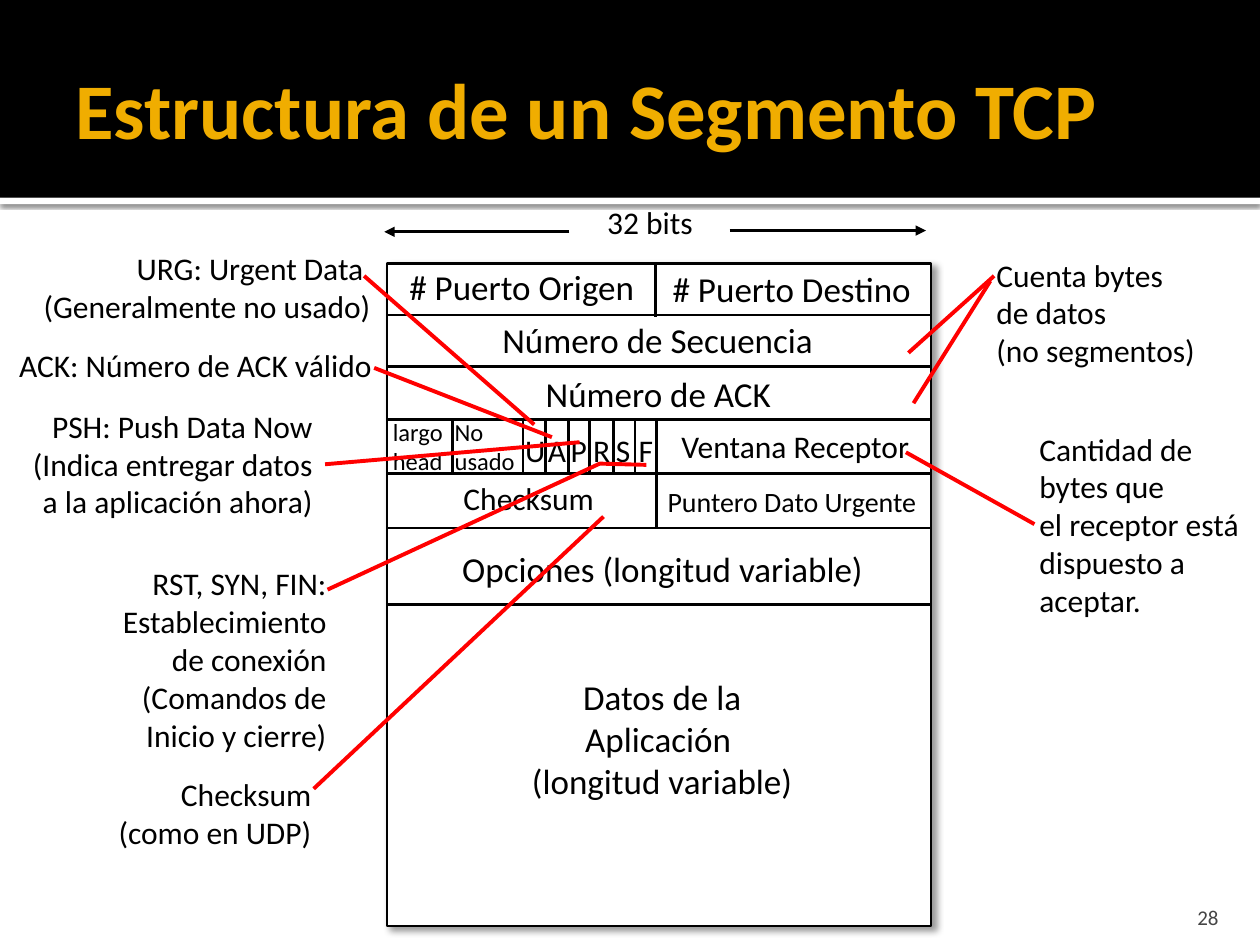
from dataclasses import dataclass
from lxml.etree import SubElement
from pptx import Presentation
from pptx.dml.color import RGBColor as Rgb
from pptx.enum.shapes import MSO_CONNECTOR as Link, MSO_SHAPE as Shape
from pptx.enum.text import MSO_ANCHOR as Anchor, MSO_AUTO_SIZE as Fit, PP_ALIGN as Align
from pptx.oxml.ns import qn
from pptx.util import Pt

PX = 9144  # one px in EMU, 100 px to the inch


@dataclass(frozen=True)
class Theme:
    font: str = "Calibri"
    black: str = "000000"
    white: str = "FFFFFF"
    gold: str = "F0AD00"
    grey: str = "454545"
    red: str = "FF0000"
    head: int = 45
    field: int = 20
    note: int = 18
    small: int = 16
    tiny: int = 14
    page: int = 12
    rule: float = 1.5
    lead: float = 2.25


T = Theme()
LEFT, MID, RIGHT = Align.LEFT, Align.CENTER, Align.RIGHT


def emu(*nums):
    return [round(n * PX) for n in nums]


def add_run(para, text, size, color, bold=False):
    run = para.add_run()
    run.text = text
    font = run.font
    font.name, font.size, font.bold = T.font, Pt(size), bold
    font.color.rgb = Rgb.from_string(color)


def add_text(slide, box, text, size, align=LEFT, wrap=False, color=T.black):
    """One paragraph for each line of the text."""
    shape = slide.shapes.add_textbox(*emu(*box))
    frame = shape.text_frame
    frame.word_wrap = wrap
    frame.auto_size = Fit.SHAPE_TO_FIT_TEXT
    for i, line in enumerate(text.split("\n")):
        para = frame.add_paragraph() if i else frame.paragraphs[0]
        para.alignment = align
        add_run(para, line, size, color)
    return shape


def add_rect(slide, box, fill, line=None):
    rect = slide.shapes.add_shape(Shape.RECTANGLE, *emu(*box))
    rect.shadow.inherit = False
    rect.fill.solid()
    rect.fill.fore_color.rgb = Rgb.from_string(fill)
    if line:
        rect.line.color.rgb = Rgb.from_string(line)
        rect.line.width = Pt(T.rule)
    else:
        rect.line.fill.background()
    return rect


def add_shade(shape, alpha, blur, dist, angle):
    glow = shape.element.spPr.find(qn("a:effectLst"))
    shade = SubElement(glow, qn("a:outerShdw"), blurRad=str(Pt(blur)), dist=str(Pt(dist)),
                       dir=str(angle * 60000), algn="tl", rotWithShape="0")
    color = SubElement(shade, qn("a:srgbClr"), val=T.black)
    SubElement(color, qn("a:alpha"), val=str(alpha * 1000))


def add_line(slide, ends, color=T.black, width=T.rule, arrow=False):
    line = slide.shapes.add_connector(Link.STRAIGHT, *emu(*ends))
    line.line.color.rgb = Rgb.from_string(color)
    line.line.width = Pt(width)
    if arrow:
        SubElement(line.line._get_or_add_ln(), qn("a:tailEnd"), type="triangle")
    SubElement(line.element.spPr, qn("a:effectLst"))
    return line


def draw_head(slide, box):
    x, y, w, h = box
    # White strip under the black band
    strip = add_rect(slide, (x, y + h, w, 5), T.white)
    add_shade(strip, 60, 2.5, 0.8, 90)
    add_rect(slide, box, T.black)
    # Title, brought in front of the band
    title = slide.shapes.title
    slide.shapes.element.append(title.element)
    title.left, title.top, title.width, title.height = emu(x + 50, y + 17, w - 100, h - 20)
    frame = title.text_frame
    frame.vertical_anchor = Anchor.MIDDLE
    frame.margin_left, frame.margin_top, frame.margin_right, frame.margin_bottom = emu(10, 5, 5, 5)
    para = frame.paragraphs[0]
    para.alignment = LEFT
    add_run(para, "Estructura de un Segmento TCP", T.head, T.gold, True)


def draw_page(slide, box):
    shape = add_text(slide, box, "28", T.page, RIGHT, True, T.grey)
    frame = shape.text_frame
    frame.auto_size = Fit.NONE
    frame.vertical_anchor = Anchor.BOTTOM
    frame.margin_bottom = 0


def draw_segment(slide, box):
    x, y, w, h = box
    add_shade(add_rect(slide, box, T.white, T.black), 40, 4, 3, 45)

    def rule(x1, y1, x2, y2, arrow=False):
        add_line(slide, (x + x1, y + y1, x + x2, y + y2), arrow=arrow)

    # Rows and splits
    for row in (41, 82, 124, 167, 210, 271):
        rule(0, row, w, row)
    rule(213, 0, 213, 43)
    rule(214, 124, 214, 209)
    for col in (52, 108, 126, 144, 161, 180, 197):
        rule(col, 124, col, 167)
    # Width of the segment
    rule(272, -26, 428, -26, True)
    rule(145, -25, -2, -25, True)

    # Field names
    fields = (
        (165, -53, 89, 50, "32 bits", T.note, LEFT, False),
        (8, -3, 208, 44, "# Puerto Origen", T.field, LEFT, False),
        (217, -2, 219, 44, "# Puerto Destino", T.field, LEFT, False),
        (44, 39, 342, 43, "Número de Secuencia", T.field, MID, True),
        (3, 82, 425, 43, "Número de ACK", T.field, MID, True),
        (-5, 117, 63, 57, "largo\nhead", T.tiny, LEFT, False),
        (44, 117, 68, 57, "No\nusado", T.tiny, LEFT, False),
        (224, 125, 207, 40, "Ventana Receptor", T.note, LEFT, False),
        (51, 166, 129, 40, "Checksum", T.note, LEFT, False),
        (213, 171, 226, 37, "Puntero Dato Urgente", T.small, LEFT, False),
        (50, 221, 346, 44, "Opciones (longitud variable)", T.field, LEFT, False),
        (103, 322, 231, 111, "Datos de la\nAplicación \n(longitud variable)",
         T.field, MID, False),
    )
    for dx, dy, wide, high, *rest in fields:
        add_text(slide, (x + dx, y + dy, wide, high), *rest)
    # Flag bits
    for i, (flag, wide) in enumerate(zip("UAPRSF", (36, 35, 33, 34, 32, 32))):
        add_text(slide, (x + 100 + 18 * i, y + 128, wide, 50), flag, T.note)


def draw_note(slide, box, text, leads, align=LEFT, wrap=False, join=None):
    """A note and its red leads, each given from the note's corner."""
    x, y = box[:2]
    note = add_text(slide, box, text, T.note, align, wrap)
    for lead in leads:
        pts = [(x + dx, y + dy) for dx, dy in lead]
        if len(pts) == 2:
            line = add_line(slide, pts[0] + pts[1], T.red, T.lead)
            if join is not None:
                line.begin_connect(note, join)
        else:
            path = slide.shapes.build_freeform(*pts[0], scale=PX)
            path.add_line_segments(pts[1:], close=False)
            bend = path.convert_to_shape()
            bend.shadow.inherit = False
            bend.fill.background()
            bend.line.color.rgb = Rgb.from_string(T.red)
            bend.line.width = Pt(T.lead)


def draw_notes(slide):
    # Left side
    draw_note(slide, (20, 193, 284, 71), "URG: Urgent Data \n(Generalmente no usado)",
              [[(269, 26), (404, 144)]], RIGHT)
    draw_note(slide, (-8, 270, 313, 40), "ACK: Número de ACK válido",
              [[(305, 22), (446, 77)]], RIGHT)
    draw_note(slide, (10, 318, 248, 101),
              "PSH: Push Data Now\n(Indica entregar datos\na la aplicación ahora)",
              [[(250, 49), (450, 33)]], RIGHT, join=3)
    draw_note(slide, (31, 443, 238, 162),
              "RST, SYN, FIN:\nEstablecimiento\nde conexión\n(Comandos de\nInicio y cierre)",
              [[(229, 25), (445, -75), (482, -74)]], RIGHT, True)
    draw_note(slide, (80, 610, 177, 71), "Checksum\n(como en UDP)",
              [[(169, 16), (399, -200)]], RIGHT)
    # Right side
    draw_note(slide, (815, 336, 181, 162),
              "Cantidad de\nbytes que\nel receptor está\ndispuesto a\naceptar.",
              [[(6, 80), (-96, 23)]])
    draw_note(slide, (781, 198, 180, 101), "Cuenta bytes\nde datos\n(no segmentos)",
              [[(5, 25), (-56, 122)], [(8, 21), (-60, 82)]])


def main():
    deck = Presentation()
    deck.slide_width, deck.slide_height = emu(1000, 750)
    slide = deck.slides.add_slide(deck.slide_layouts[5])
    draw_head(slide, (0, 0, 1000, 157))
    draw_page(slide, (897, 708, 80, 30))
    draw_segment(slide, (307, 209, 432, 526))
    draw_notes(slide)
    deck.save("out.pptx")


if __name__ == "__main__":
    main()
